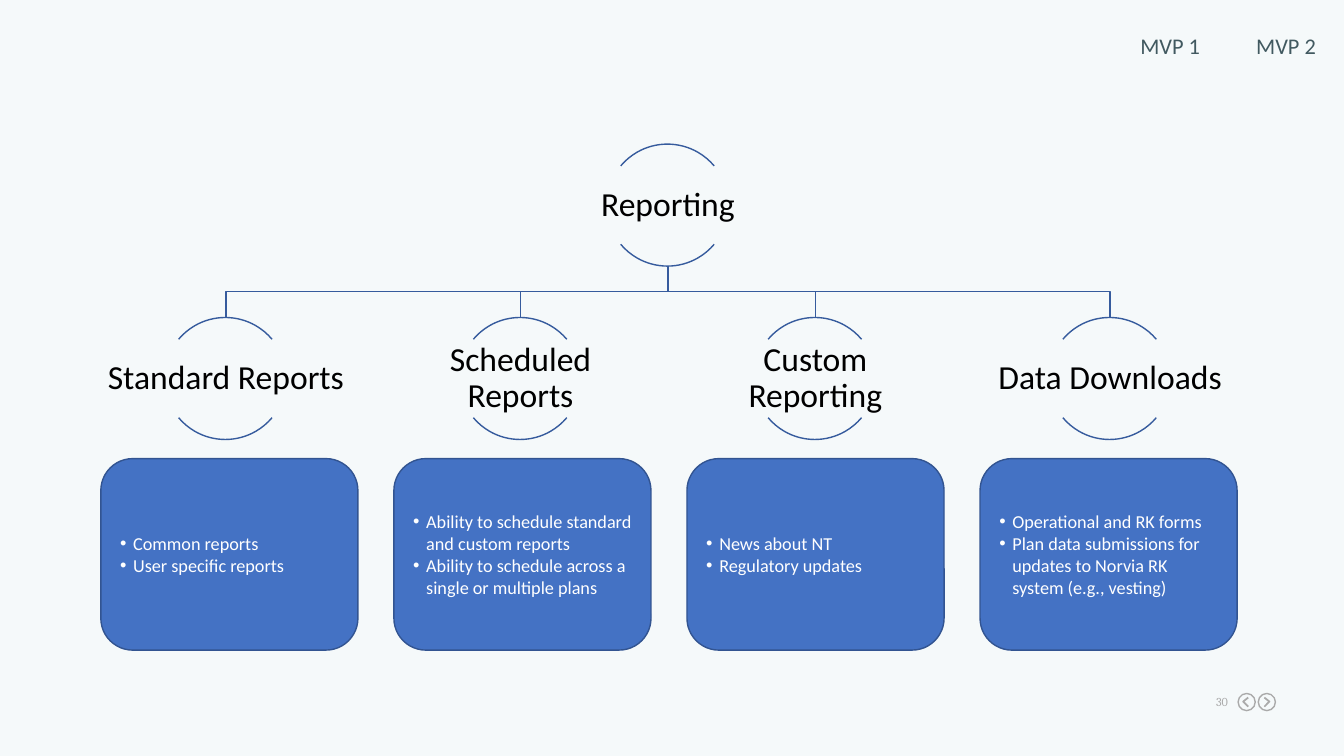
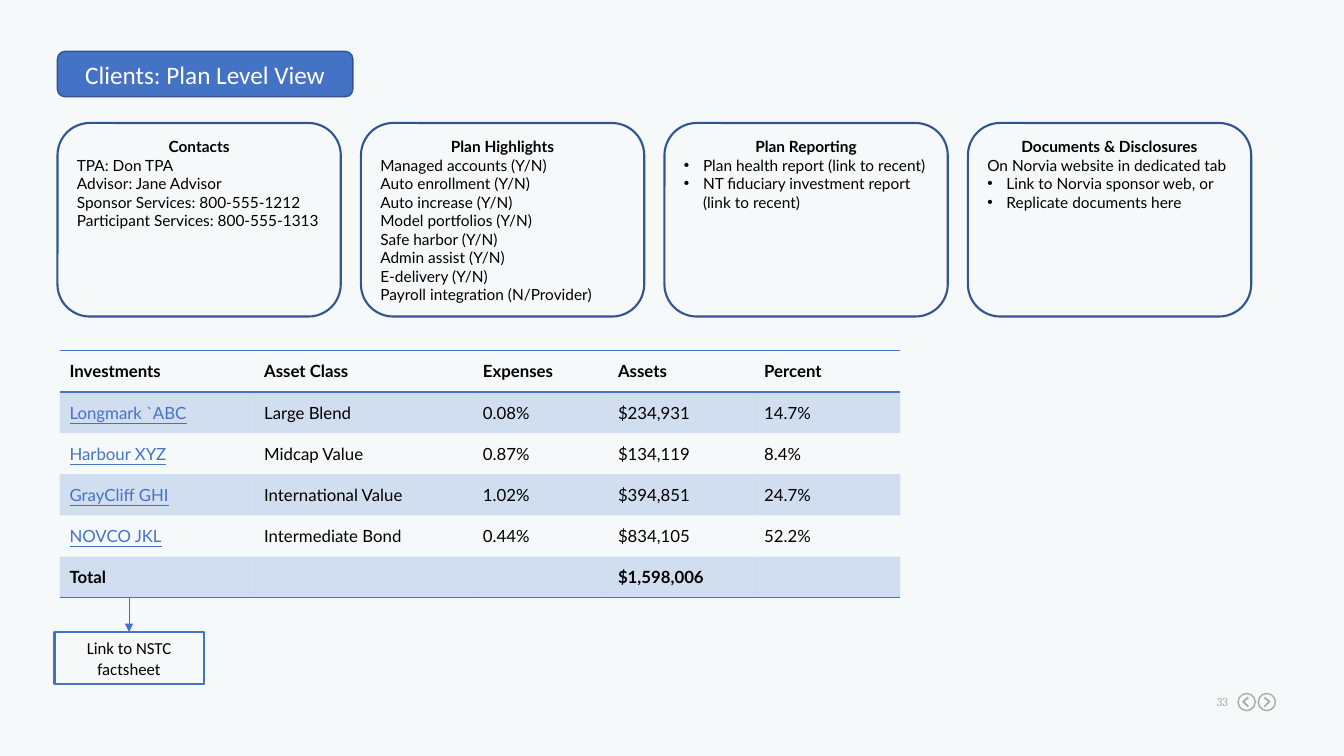
import dataclasses

import lxml.etree
import pptx
import pptx.dml.color
import pptx.enum.shapes
import pptx.enum.text
import pptx.oxml.ns
import pptx.util

Inches = pptx.util.Inches
Pt = pptx.util.Pt
SHAPE = pptx.enum.shapes.MSO_SHAPE
ALIGN = pptx.enum.text.PP_ALIGN
ANCHOR = pptx.enum.text.MSO_ANCHOR
qn = pptx.oxml.ns.qn

BACKGROUND = "F5F9FA"
BLUE = "4472C4"
OUTLINE = "325491"
TREE_LINE = "365B9D"
BLACK = "000000"
WHITE = "FFFFFF"
SLATE = "415960"
GRAY = "AAAAAA"
NO_STYLE = "{2D5ABB26-0587-4C30-8999-92F81FD0307C}"


@dataclasses.dataclass
class Style:
    """Text settings of one block."""

    size: float
    color: str = BLACK
    font: str = "Calibri"
    align: int = ALIGN.LEFT
    anchor: int = ANCHOR.MIDDLE
    inset: float = None
    indent: float = 0.19


@dataclasses.dataclass
class Line:
    """One paragraph with its own emphasis."""

    text: str
    bold: bool = False
    bullet: bool = False
    align: int = None


def rgb(color):
    """Turn a hex string into a colour."""
    return pptx.dml.color.RGBColor.from_string(color)


def add_element(parent, tag, **attributes):
    """Append a drawing element to a parent."""
    element = lxml.etree.SubElement(parent, qn(tag))
    for name, value in attributes.items():
        element.set(name, str(value))
    return element


def paint(shape, fill=None, line=None, width=1):
    """Set the fill and line of a shape and drop its shadow."""
    shape.shadow.inherit = False
    if fill:
        shape.fill.solid()
        shape.fill.fore_color.rgb = rgb(fill)
    else:
        shape.fill.background()
    shape.line.color.rgb = rgb(line)
    shape.line.width = Pt(width)


def set_font(paragraph, style, bold=False, color=None):
    """Set the font of a paragraph."""
    font = paragraph.font
    font.name = style.font
    font.size = Pt(style.size)
    font.bold = bold
    font.color.rgb = rgb(color or style.color)


def write(shape, lines, style, wrap=True):
    """Fill a shape with paragraphs."""
    frame = shape.text_frame
    frame.word_wrap = wrap
    frame.vertical_anchor = style.anchor
    if style.inset is not None:
        frame.margin_left = frame.margin_right = Inches(style.inset)
        frame.margin_top = frame.margin_bottom = Inches(style.inset)
    for index, line in enumerate(lines):
        paragraph = frame.add_paragraph() if index else frame.paragraphs[0]
        paragraph.text = line.text
        paragraph.alignment = style.align if line.align is None else line.align
        if line.bullet:
            properties = paragraph._p.get_or_add_pPr()
            properties.set("marL", str(Inches(style.indent)))
            properties.set("indent", str(-Inches(style.indent)))
            add_element(properties, "a:buFont", typeface="Arial")
            add_element(properties, "a:buChar", char="•")
        set_font(paragraph, style, line.bold)


def add_box(slide, kind, left, top, width, height, fill=None, line=OUTLINE, weight=1):
    """Add a painted preset shape."""
    shape = slide.shapes.add_shape(
        kind, Inches(left), Inches(top), Inches(width), Inches(height))
    paint(shape, fill, line, weight)
    return shape


def add_label(slide, text, left, top, width, height, style, wrap=True):
    """Add a text box with one line of text."""
    label = slide.shapes.add_textbox(
        Inches(left), Inches(top), Inches(width), Inches(height))
    write(label, [Line(text)], style, wrap)
    return label


def add_polyline(slide, points, color, weight=1):
    """Add an open line through points."""
    start, *rest = [(Inches(x), Inches(y)) for x, y in points]
    builder = slide.shapes.build_freeform(*start)
    builder.add_line_segments(rest, close=False)
    paint(builder.convert_to_shape(), line=color, width=weight)


def add_footer(slide, number):
    """Add the page number and the two round arrows."""
    style = Style(8.7, GRAY, "Cambria", ALIGN.RIGHT, ANCHOR.TOP, 0)
    add_label(slide, number, 11.93, 6.89, 0.25, 0.15, style)
    for center, direction in ((12.36, -1), (12.56, 1)):
        add_box(slide, SHAPE.OVAL, center - 0.08, 6.88, 0.17, 0.17, line=GRAY)
        tip, back = center + 0.03 * direction, center - 0.02 * direction
        add_polyline(slide, [(back, 6.92), (tip, 6.96), (back, 7.01)], GRAY, 1.25)


def add_node(slide, text, center, top):
    """Add a tree node with an arc above and below its name."""
    for angles in ((132, 192), (24, 84)):
        arc = add_box(slide, SHAPE.ARC, center - 0.61, top, 1.21, 1.21, line=TREE_LINE)
        arc.adjustments[0], arc.adjustments[1] = angles
    style = Style(24, align=ALIGN.CENTER, inset=0.02)
    label = add_label(slide, text, center - 1.21, top + 0.22, 2.42, 0.77, style)
    label.text_frame.paragraphs[0].line_spacing = 0.9


def add_tree(slide, root, names, left, top, width):
    """Add a root node joined to a row of child nodes."""
    middle, start, bend, end = left + width / 2, top + 1.21, top + 1.46, top + 1.72
    centers = [left + width / (len(names) - 1) * index for index in range(len(names))]
    for center in centers:
        points = [(middle, start), (middle, bend), (center, bend), (center, end)]
        add_polyline(slide, points, TREE_LINE)
    add_node(slide, root, middle, top)
    for name, center in zip(names, centers):
        add_node(slide, name, center, end)


def add_cards(slide, cards, left, top, width, height, pitch, style, fill, weight):
    """Add a row of equally spaced rounded cards."""
    for index, lines in enumerate(cards):
        card = add_box(slide, SHAPE.ROUNDED_RECTANGLE, left + pitch * index, top,
                       width, height, fill, OUTLINE, weight)
        write(card, lines, style)


def add_border(cell, tag):
    """Draw one border of a table cell."""
    properties = cell._tc.get_or_add_tcPr()
    border = add_element(properties, tag, w=Pt(1))
    add_element(add_element(border, "a:solidFill"), "a:srgbClr", val=BLUE)


def fill_cell(cell, banded):
    """Give a table cell a light band or no fill."""
    if not banded:
        cell.fill.background()
        return
    cell.fill.solid()
    cell.fill.fore_color.rgb = rgb(BLUE)
    color = cell._tc.tcPr.find(qn("a:solidFill")).find(qn("a:srgbClr"))
    add_element(color, "a:alpha", val=20000)


def add_investments(slide, rows, left, top, widths, height):
    """Add the table of investments with linked names and a total."""
    last = len(rows) - 1
    table = slide.shapes.add_table(
        len(rows), len(widths), Inches(left), Inches(top),
        Inches(sum(widths)), Inches(height)).table
    table.first_row = table.horz_banding = False
    table._tbl.tblPr.find(qn("a:tableStyleId")).text = NO_STYLE
    for column, width in zip(table.columns, widths):
        column.width = Inches(width)
    style = Style(12, font="Lato")
    for row_index, row in enumerate(rows):
        edge = row_index in (0, last)
        for column_index, text in enumerate(row):
            cell = table.cell(row_index, column_index)
            cell.vertical_anchor = ANCHOR.MIDDLE
            if row_index == 0:
                add_border(cell, "a:lnT")
            if edge:
                add_border(cell, "a:lnB")
            fill_cell(cell, row_index % 2 == 1)
            cell.text = text
            linked = column_index == 0 and not edge
            paragraph = cell.text_frame.paragraphs[0]
            set_font(paragraph, style, edge, BLUE if linked else BLACK)
            paragraph.font.underline = linked


def add_link_note(slide, text, left, top, width, height, rise):
    """Add a note box with an arrow coming down into it."""
    note = add_box(slide, SHAPE.RECTANGLE, left, top, width, height, line=BLUE, weight=1.5)
    write(note, [Line(text)], Style(12, align=ALIGN.CENTER))
    middle = Inches(left + width / 2)
    arrow = slide.shapes.add_connector(
        pptx.enum.shapes.MSO_CONNECTOR.STRAIGHT,
        middle, Inches(top - rise), middle, Inches(top))
    arrow.end_connect(note, 0)
    arrow.line.color.rgb = rgb(BLUE)
    arrow.line.width = Pt(0.5)
    add_element(arrow.line._get_or_add_ln(), "a:tailEnd", type="triangle")
    add_element(arrow._element.spPr, "a:effectLst")


def bullets(*texts):
    """Make bulleted lines."""
    return [Line(text, bullet=True) for text in texts]


def titled(title, *lines):
    """Put a centred bold title above lines."""
    return [Line(title, bold=True, align=ALIGN.CENTER), *lines]


def build_reporting(slide):
    """Build the reporting tree slide."""
    add_footer(slide, "30")
    names = ["Standard Reports", "Scheduled Reports", "Custom Reporting", "Data Downloads"]
    add_tree(slide, "Reporting", names, 2.24, 1.43, 8.77)
    cards = [
        bullets("Common reports", "User specific reports"),
        bullets("Ability to schedule standard and custom reports",
                "Ability to schedule across a single or multiple plans"),
        bullets("News about NT", "Regulatory updates"),
        bullets("Operational and RK forms",
                "Plan data submissions for updates to Norvia RK system (e.g., vesting)"),
    ]
    style = Style(13, WHITE, indent=0.13)
    add_cards(slide, cards, 1, 4.55, 2.55, 1.9, 8.72 / 3, style, BLUE, 1)
    for text, left in (("MVP 1", 11.31), ("MVP 2", 12.46)):
        style = Style(16, SLATE, anchor=ANCHOR.TOP, inset=0)
        add_label(slide, text, left, 0.32, 0.6, 0.27, style, wrap=False)


def build_plan_view(slide):
    """Build the plan level slide."""
    add_footer(slide, "33")
    title = add_box(slide, SHAPE.ROUNDED_RECTANGLE, 0.57, 0.51, 2.93, 0.45, BLUE)
    write(title, [Line("Clients: Plan Level View")], Style(18, WHITE, align=ALIGN.CENTER))
    options = ["Managed accounts", "Auto enrollment", "Auto increase", "Model portfolios",
               "Safe harbor", "Admin assist", "E-delivery"]
    cards = [
        titled("Contacts", Line("TPA: Don TPA"), Line("Advisor: Jane Advisor"),
               Line("Sponsor Services: 800-555-1212"),
               Line("Participant Services: 800-555-1313")),
        titled("Plan Highlights", *[Line(f"{option} (Y/N)") for option in options],
               Line("Payroll integration (N/Provider)")),
        titled("Plan Reporting", *bullets("Plan health report (link to recent)",
               "NT fiduciary investment report (link to recent)")),
        titled("Documents & Disclosures", Line("On Norvia website in dedicated tab"),
               *bullets("Link to Norvia sponsor web, or", "Replicate documents here")),
    ]
    style = Style(11, font="Lato", anchor=ANCHOR.TOP)
    add_cards(slide, cards, 0.57, 1.22, 2.81, 1.92, 3.01, style, None, 1.5)
    rows = [
        ("Investments", "Asset Class", "Expenses", "Assets", "Percent"),
        ("Longmark `ABC", "Large Blend", "0.08%", "$234,931", "14.7%"),
        ("Harbour XYZ", "Midcap Value", "0.87%", "$134,119", "8.4%"),
        ("GrayCliff GHI", "International Value", "1.02%", "$394,851", "24.7%"),
        ("NOVCO JKL", "Intermediate Bond", "0.44%", "$834,105", "52.2%"),
        ("Total", "", "", "$1,598,006", ""),
    ]
    add_investments(slide, rows, 0.59, 3.48, [1.93, 2.17, 1.34, 1.45, 1.45], 2.45)
    add_link_note(slide, "Link to NSTC factsheet", 0.54, 6.27, 1.48, 0.52, 0.34)


def main():
    """Build and save the presentation."""
    presentation = pptx.Presentation()
    presentation.slide_width, presentation.slide_height = Inches(13.33), Inches(7.5)
    background = presentation.slide_master.background.fill
    background.solid()
    background.fore_color.rgb = rgb(BACKGROUND)
    for build in (build_reporting, build_plan_view):
        build(presentation.slides.add_slide(presentation.slide_layouts[6]))
    presentation.save("out.pptx")


if __name__ == "__main__":
    main()
